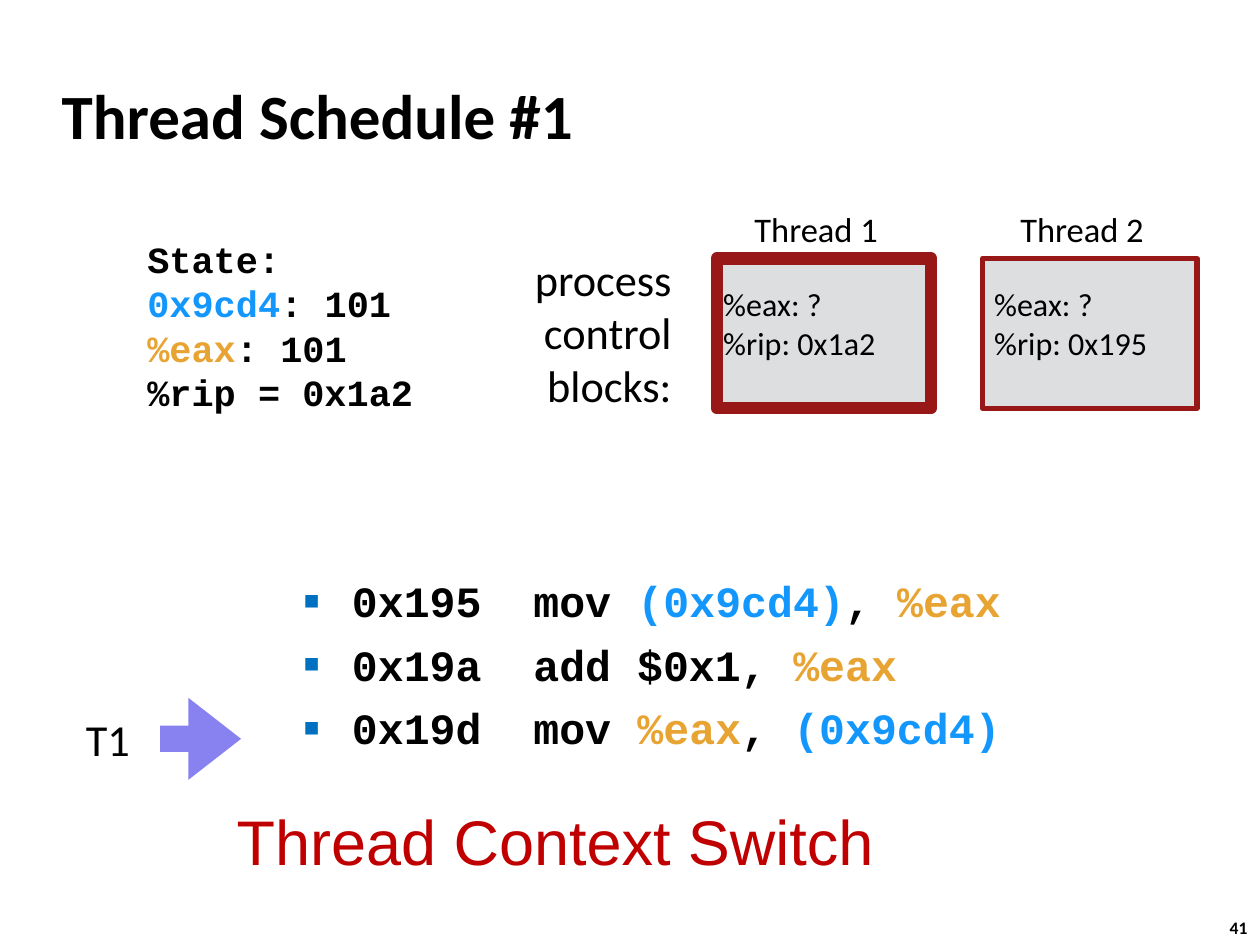
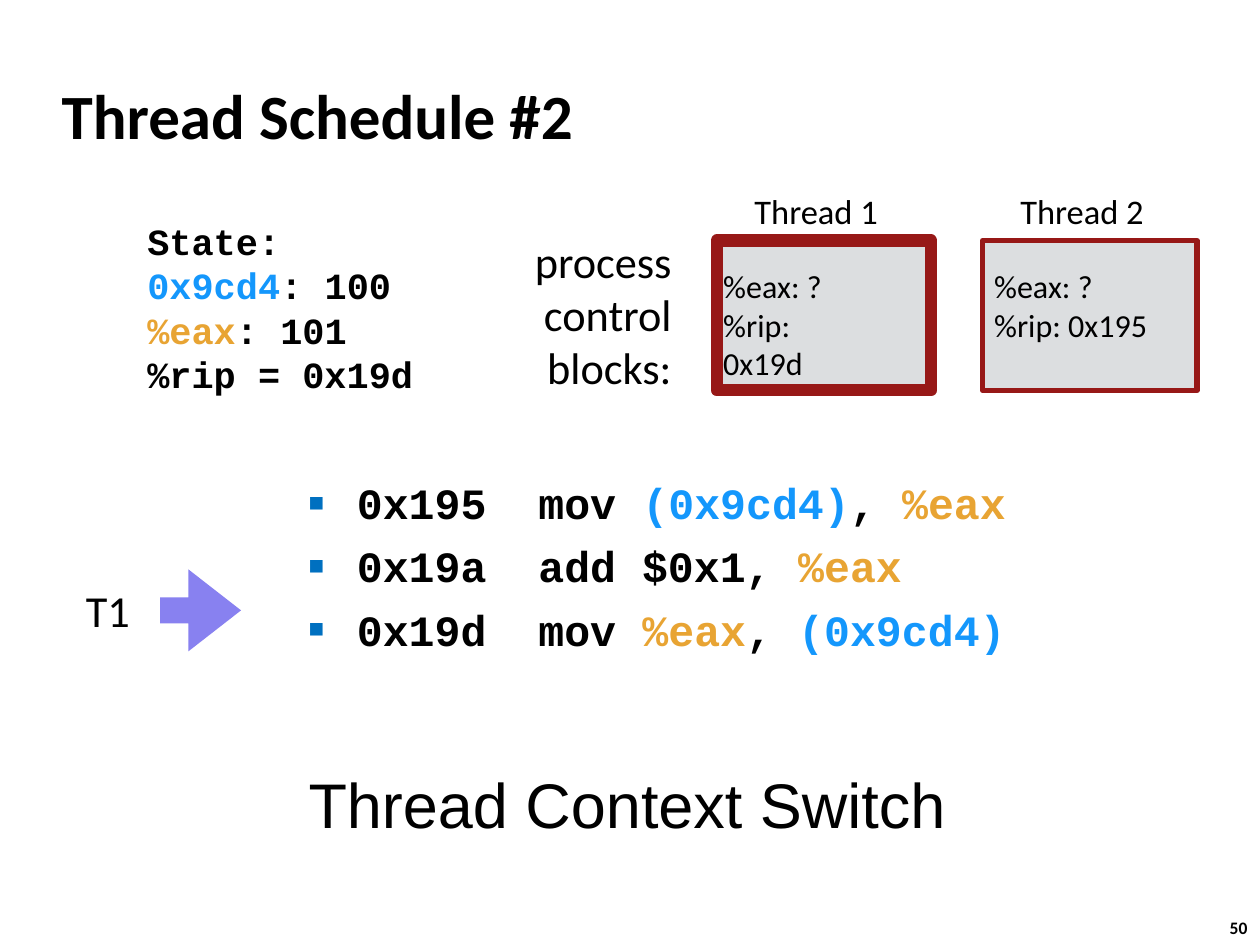
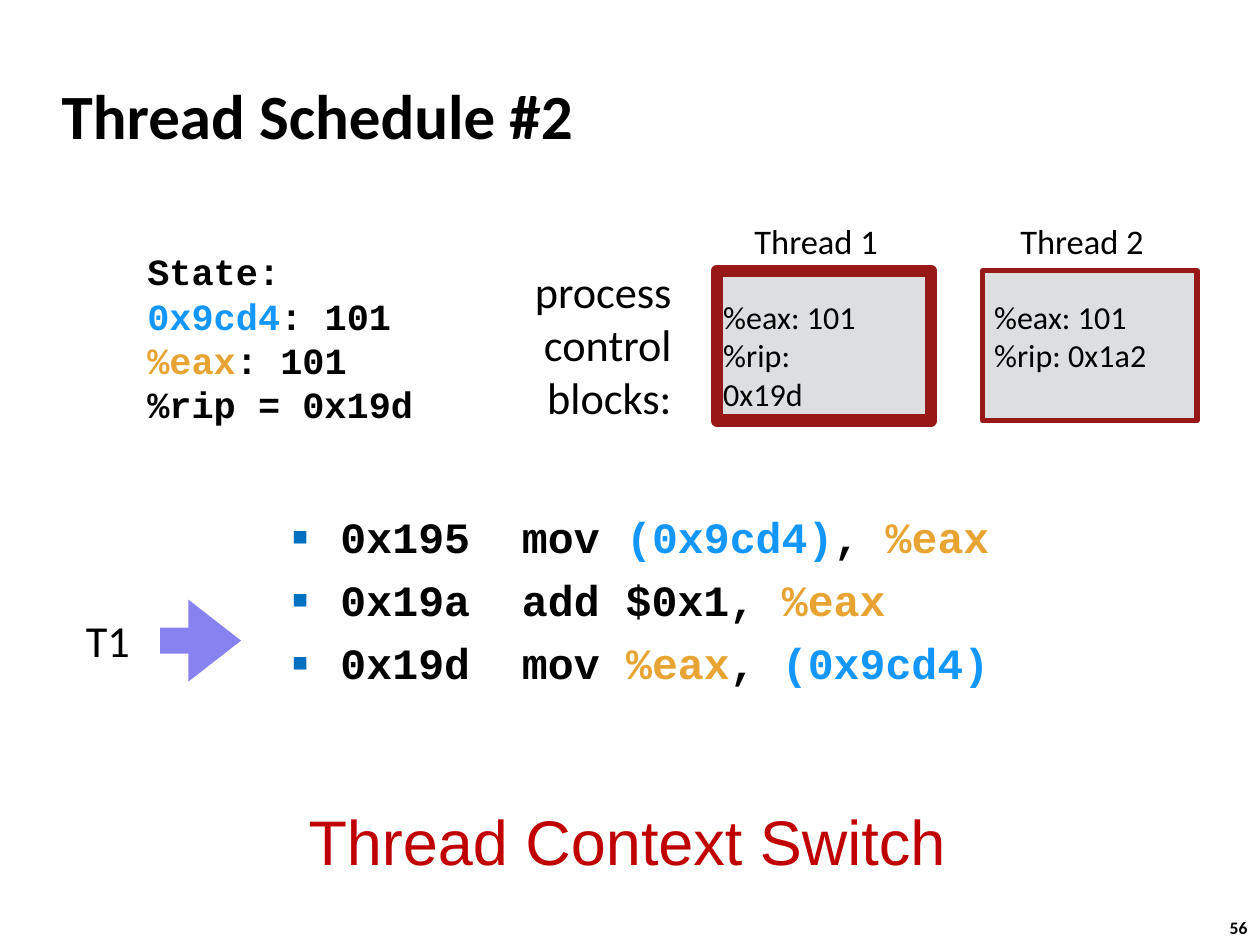
from dataclasses import dataclass

from lxml import etree
from pptx import Presentation
from pptx.dml.color import RGBColor
from pptx.enum.shapes import MSO_SHAPE
from pptx.enum.text import MSO_ANCHOR, MSO_AUTO_SIZE, PP_ALIGN
from pptx.oxml.ns import qn
from pptx.util import Cm, Pt

RECTANGLE = MSO_SHAPE.RECTANGLE
RIGHT_ARROW = MSO_SHAPE.RIGHT_ARROW
TOP, MIDDLE = MSO_ANCHOR.TOP, MSO_ANCHOR.MIDDLE
LEFT, RIGHT = PP_ALIGN.LEFT, PP_ALIGN.RIGHT
NO_AUTOFIT = MSO_AUTO_SIZE.NONE
TITLE_AND_CONTENT = 1

COLOURS = {
    "text": "000000",
    "address": "1497FC",
    "register": "E8A433",
    "bullet": "0070C0",
    "block fill": "DCDEE0",
    "block line": "971817",
    "arrow": "8881F0",
    "alert": "C00000",
}
SANS, MONO, CAPTION_FONT = "Calibri", "Courier New", "Arial"

ADDRESS = ("(0x9cd4)", "address")
EAX = ("%eax", "register")
INSTRUCTIONS = [
    [("0x195  mov ", "text"), ADDRESS, (", ", "text"), EAX],
    [("0x19a  add $0x1, ", "text"), EAX],
    [("0x19d  mov ", "text"), EAX, (", ", "text"), ADDRESS],
]


@dataclass
class ControlBlock:
    eax: str
    rip: str


@dataclass
class Schedule:
    """One step of a thread schedule; positions are in centimetres."""
    number: int
    title: str
    memory: str
    rip: str
    control_blocks: list
    blocks_top: float
    code_left: float
    code_top: float
    arrow_top: float
    caption_left: float
    caption_top: float
    caption_colour: str


SCHEDULES = [
    Schedule(41, "Thread Schedule #1", "101", "0x1a2",
             [ControlBlock("?", "0x1a2"), ControlBlock("?", "0x195")],
             5.21, 5.87, 11.46, 14.07, 4.67, 16.08, "alert"),
    Schedule(50, "Thread Schedule #2", "100", "0x19d",
             [ControlBlock("?", "0x19d"), ControlBlock("?", "0x195")],
             4.85, 5.97, 9.48, 11.48, 6.12, 15.32, "text"),
    Schedule(56, "Thread Schedule #2", "101", "0x19d",
             [ControlBlock("101", "0x19d"), ControlBlock("101", "0x1a2")],
             5.46, 5.64, 10.16, 12.09, 6.12, 16.08, "alert"),
]


def colour(name):
    return RGBColor.from_string(COLOURS[name])


def place(shape, left, top, width, height):
    shape.left, shape.top = Cm(left), Cm(top)
    shape.width, shape.height = Cm(width), Cm(height)


def plain(text, colour_name="text"):
    """Turn lines of text into paragraphs of one run each."""
    return [[(line, colour_name)] for line in text.split("\n")]


def write(text_frame, paragraphs, font, size, bold=False, align=LEFT):
    """Fill a text frame; each paragraph is a list of (text, colour name)."""
    for index, pieces in enumerate(paragraphs):
        paragraph = text_frame.paragraphs[0] if index == 0 else text_frame.add_paragraph()
        paragraph.alignment = align
        for text, colour_name in pieces:
            run = paragraph.add_run()
            run.text = text
            run.font.name, run.font.size, run.font.bold = font, Pt(size), bold
            run.font.color.rgb = colour(colour_name)


def add_text(slide, box, paragraphs, font, size, inset=0.1, anchor=MIDDLE, **style):
    text_frame = slide.shapes.add_textbox(*map(Cm, box)).text_frame
    text_frame.word_wrap = False
    text_frame.vertical_anchor = anchor
    text_frame.margin_left = text_frame.margin_right = Cm(inset)
    text_frame.margin_top = text_frame.margin_bottom = Cm(inset)
    write(text_frame, paragraphs, font, size, **style)


def add_filled_shape(slide, kind, box, fill):
    shape = slide.shapes.add_shape(kind, *map(Cm, box))
    shape.shadow.inherit = False
    shape.fill.solid()
    shape.fill.fore_color.rgb = colour(fill)
    shape.line.fill.background()
    return shape


def set_indent(paragraph, centimetres):
    properties = paragraph._p.get_or_add_pPr()
    properties.set("marL", str(Cm(centimetres)))
    properties.set("indent", str(Cm(-centimetres)))
    return properties


def add_square_bullet(paragraph):
    properties = set_indent(paragraph, 0.97)
    bullet_colour = etree.SubElement(properties, qn("a:buClr"))
    etree.SubElement(bullet_colour, qn("a:srgbClr"), val=COLOURS["bullet"])
    etree.SubElement(properties, qn("a:buSzPct"), val="60000")
    etree.SubElement(properties, qn("a:buFont"), typeface="Arial")
    etree.SubElement(properties, qn("a:buChar"), char="■")


def set_title(slide, text):
    title = slide.shapes.title
    place(title, 0.99, 1.24, 21.08, 2.11)
    title.text_frame.auto_size = NO_AUTOFIT
    title.text_frame.vertical_anchor = MIDDLE
    write(title.text_frame, plain(text), SANS, 36, bold=True)
    set_indent(title.text_frame.paragraphs[0], 0.33)


def set_code(slide, left, top):
    body = slide.placeholders[1]
    place(body, left, top, 15.34, 3.84)
    text_frame = body.text_frame
    text_frame.auto_size = NO_AUTOFIT
    text_frame.vertical_anchor = TOP
    write(text_frame, INSTRUCTIONS, MONO, 24.7, bold=True)
    for index, paragraph in enumerate(text_frame.paragraphs):
        paragraph.space_before = Pt(6.5 if index else 0)
        add_square_bullet(paragraph)


def add_control_block(slide, index, block, top):
    left = 14.45 + 5.36 * index
    frame = add_filled_shape(slide, RECTANGLE, (left, top, 4.32, 3.02), "block fill")
    frame.line.color.rgb = colour("block line")
    frame.line.width = Pt(3 if index else 7)
    add_text(slide, (left + 0.66, top - 1.12, 2.72, 1.04),
             plain(f"Thread {index + 1}"), SANS, 19.7)
    add_text(slide, (left + 0.13 + 0.1 * index, top + 0.53, 3.1, 1.57),
             plain(f"%eax: {block.eax}\n%rip: {block.rip}"), SANS, 18.3,
             inset=0, anchor=TOP)


def add_machine_state(slide, schedule):
    lines = [
        [("State:", "text")],
        [("0x9cd4", "address"), (f": {schedule.memory}", "text")],
        [EAX, (": 101", "text")],
        [(f"%rip = {schedule.rip}", "text")],
    ]
    add_text(slide, (2.87, schedule.blocks_top - 0.56, 5.64, 3.81),
             lines, MONO, 21.1, bold=True)


def add_thread_pointer(slide, top):
    add_text(slide, (1.63, top + 0.18, 1.09, 1.27), plain("T1"), SANS, 25.3)
    arrow = add_filled_shape(slide, RIGHT_ARROW, (3.23, top, 1.63, 1.65), "arrow")
    arrow.adjustments[0], arrow.adjustments[1] = 0.32, 0.65


def add_schedule_slide(presentation, schedule):
    slide = presentation.slides.add_slide(presentation.slide_layouts[TITLE_AND_CONTENT])
    set_title(slide, schedule.title)
    set_code(slide, schedule.code_left, schedule.code_top)
    add_machine_state(slide, schedule)
    add_text(slide, (10.62, schedule.blocks_top - 0.25, 3.02, 3.45),
             plain("process\ncontrol\nblocks:"), SANS, 25.3, align=RIGHT)
    for index, block in enumerate(schedule.control_blocks):
        add_control_block(slide, index, block, schedule.blocks_top)
    add_thread_pointer(slide, schedule.arrow_top)
    add_text(slide, (schedule.caption_left, schedule.caption_top, 13.16, 1.73),
             plain("Thread Context Switch", schedule.caption_colour), CAPTION_FONT, 36)
    add_text(slide, (24.54, 18.36, 0.94, 0.69), plain(str(schedule.number)),
             SANS, 10, inset=0.25, bold=True)


def main():
    presentation = Presentation()
    presentation.slide_width, presentation.slide_height = Cm(25.4), Cm(19.05)
    for schedule in SCHEDULES:
        add_schedule_slide(presentation, schedule)
    presentation.save("out.pptx")


if __name__ == "__main__":
    main()
